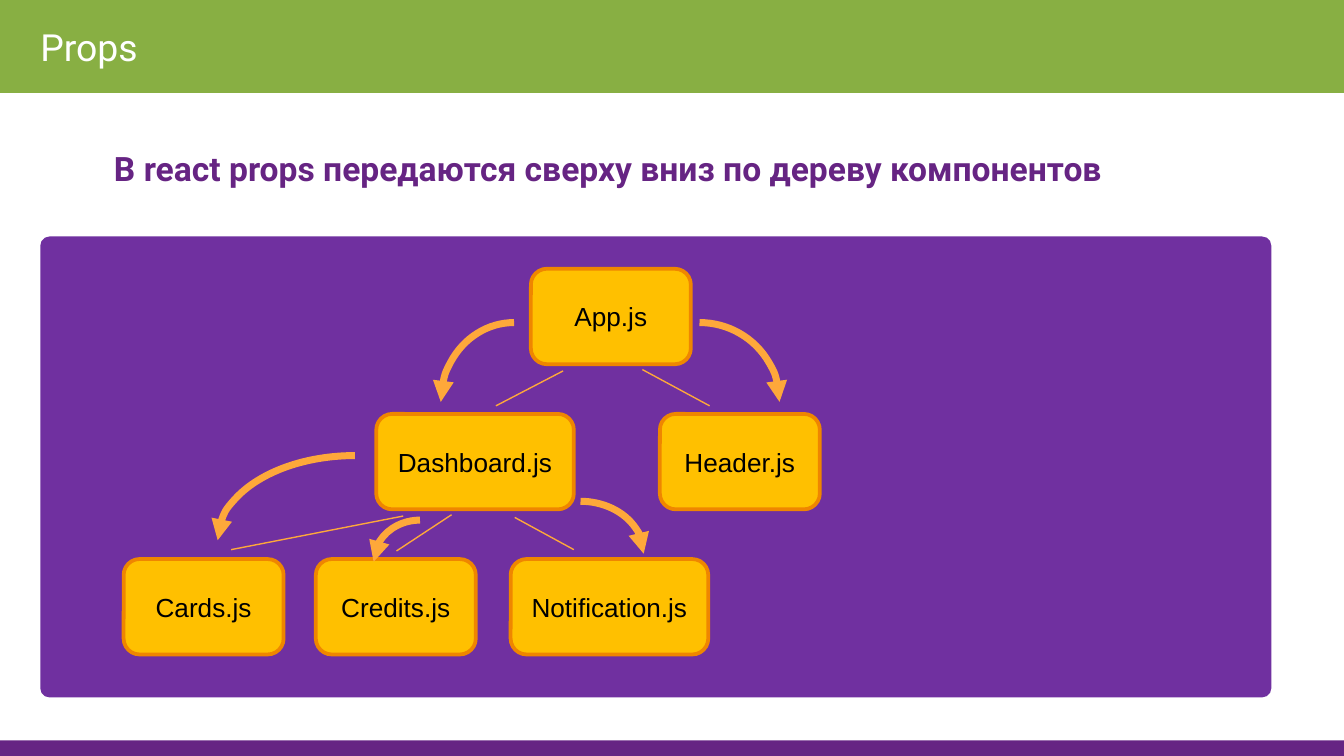
from lxml import etree
from pptx import Presentation
from pptx.dml.color import RGBColor
from pptx.enum.shapes import MSO_CONNECTOR, MSO_SHAPE
from pptx.enum.text import MSO_ANCHOR, MSO_AUTO_SIZE, PP_ALIGN
from pptx.oxml.ns import qn
from pptx.util import Inches, Pt

RECT, ROUNDED, ARC = MSO_SHAPE.RECTANGLE, MSO_SHAPE.ROUNDED_RECTANGLE, MSO_SHAPE.ARC
STRAIGHT = MSO_CONNECTOR.STRAIGHT
LEFT, CENTER = PP_ALIGN.LEFT, PP_ALIGN.CENTER
TOP, MIDDLE = MSO_ANCHOR.TOP, MSO_ANCHOR.MIDDLE
NO_FIT = MSO_AUTO_SIZE.NONE

WIDTH = 10
HEIGHT = WIDTH * 9 / 16
FOOTER_TOP = 5.51
GREEN, PURPLE, PANEL = "88AF43", "662483", "7030A0"
AMBER, ORANGE, FLOW = "FFC000", "EF8600", "FEA83A"
WHITE, BLACK = "FFFFFF", "000000"

TREE_TOP, LEVEL_STEP, NODE_HEIGHT = 2, 1.08, 0.71
NARROW, WIDE = 1.19, 1.47
COMPONENTS = [
    ("App.js", 0, 3.95, NARROW),
    ("Dashboard.js", 1, 2.8, WIDE),
    ("Header.js", 1, 4.91, NARROW),
    ("Notification.js", 2, 3.8, WIDE),
    ("Credits.js", 2, 2.35, NARROW),
    ("Cards.js", 2, 0.92, NARROW),
]
BRANCHES = [
    (4.19, 2.76, 3.69, 3.02),
    (4.78, 2.75, 5.28, 3.02),
    (3.36, 3.83, 2.95, 4.1),
    (3, 3.84, 1.72, 4.09),
    (3.83, 3.85, 4.27, 4.09),
]
PROP_FLOWS = [
    ((3.28, 2.4, 1.09, 1.18), True),
    ((4.61, 2.4, 1.19, 1.18), False),
    ((1.62, 3.39, 2.04, 1.26), True),
    ((2.78, 3.87, 0.69, 0.62), True),
    ((3.85, 3.73, 0.94, 0.78), False),
]


def color(value):
    """Turn a hex string into a colour."""
    return RGBColor.from_string(value)


def set_line(item, value, width):
    """Give an outline or a connector its colour and width in points."""
    item.line.color.rgb = color(value)
    item.line.width = Pt(width)


def add_block(slide, kind, box, fill=None):
    """Add a preset shape without shadow or outline."""
    block = slide.shapes.add_shape(kind, *map(Inches, box))
    block.shadow.inherit = False
    block.line.fill.background()
    if fill:
        block.fill.solid()
        block.fill.fore_color.rgb = color(fill)
    else:
        block.fill.background()
    return block


def write(holder, text, size, font, value, bold=False, align=LEFT, anchor=TOP):
    """Write one formatted paragraph and return it."""
    frame = holder.text_frame
    frame.text = text
    frame.word_wrap = True
    frame.auto_size = NO_FIT
    frame.vertical_anchor = anchor
    frame.margin_left = frame.margin_right = Inches(0.1)
    frame.margin_top = frame.margin_bottom = Inches(0.1)
    paragraph = frame.paragraphs[0]
    paragraph.alignment = align
    paragraph.font.size = Pt(size)
    paragraph.font.name = font
    paragraph.font.bold = bold
    paragraph.font.color.rgb = color(value)
    return paragraph


def add_header(slide):
    """Lay the green band behind the slide title."""
    band = add_block(slide, RECT, (0, 0, WIDTH, 0.69), GREEN)
    set_line(band, GREEN, 0.75)
    title = slide.shapes.title
    title.left, title.top, title.width, title.height = map(Inches, (0.2, 0.08, 6.33, 0.54))
    write(title, "Props", 20, "Roboto", WHITE)
    band.element.addnext(title.element)


def add_statement(slide):
    """Add the bold statement above the tree."""
    statement = slide.shapes.add_textbox(*map(Inches, (0.6, 0.85, 8.86, 0.62)))
    paragraph = write(statement, "В react props передаются сверху вниз по дереву компонентов",
                      18, "Roboto", PURPLE, bold=True)
    paragraph.line_spacing = 1.5
    paragraph._p.get_or_add_pPr().set("marL", str(Inches(0.15)))


def add_component(slide, name, level, left, width):
    """Add one component box on its level of the tree."""
    top = TREE_TOP + level * LEVEL_STEP
    component = add_block(slide, ROUNDED, (left, top, width, NODE_HEIGHT), AMBER)
    set_line(component, ORANGE, 2)
    write(component, name, 14, "Arial", BLACK, align=CENTER, anchor=MIDDLE)


def add_branch(slide, ends):
    """Add a thin line between two levels."""
    branch = slide.shapes.add_connector(STRAIGHT, *map(Inches, ends))
    set_line(branch, FLOW, 0.75)
    etree.SubElement(branch.element.spPr, qn("a:effectLst"))


def add_prop_flow(slide, box, to_left):
    """Add a curved arrow pointing down to the left or right."""
    flow = add_block(slide, ARC, box)
    set_line(flow, FLOW, 3.75)
    properties = flow.element.spPr
    etree.SubElement(properties.find(qn("a:ln")), qn("a:tailEnd"), type="triangle")
    if to_left:
        properties.find(qn("a:xfrm")).set("flipH", "1")


def main():
    """Build the slide and save it."""
    deck = Presentation()
    deck.slide_width, deck.slide_height = Inches(WIDTH), Inches(HEIGHT)
    slide = deck.slides.add_slide(deck.slide_layouts[5])
    add_header(slide)
    add_statement(slide)
    add_block(slide, RECT, (0, FOOTER_TOP, WIDTH, HEIGHT - FOOTER_TOP), PURPLE)
    panel = add_block(slide, ROUNDED, (0.3, 1.76, 9.16, 3.43), PANEL)
    panel.adjustments[0] = 0.02
    for component in COMPONENTS:
        add_component(slide, *component)
    for ends in BRANCHES:
        add_branch(slide, ends)
    for box, to_left in PROP_FLOWS:
        add_prop_flow(slide, box, to_left)
    deck.save("out.pptx")


if __name__ == "__main__":
    main()
